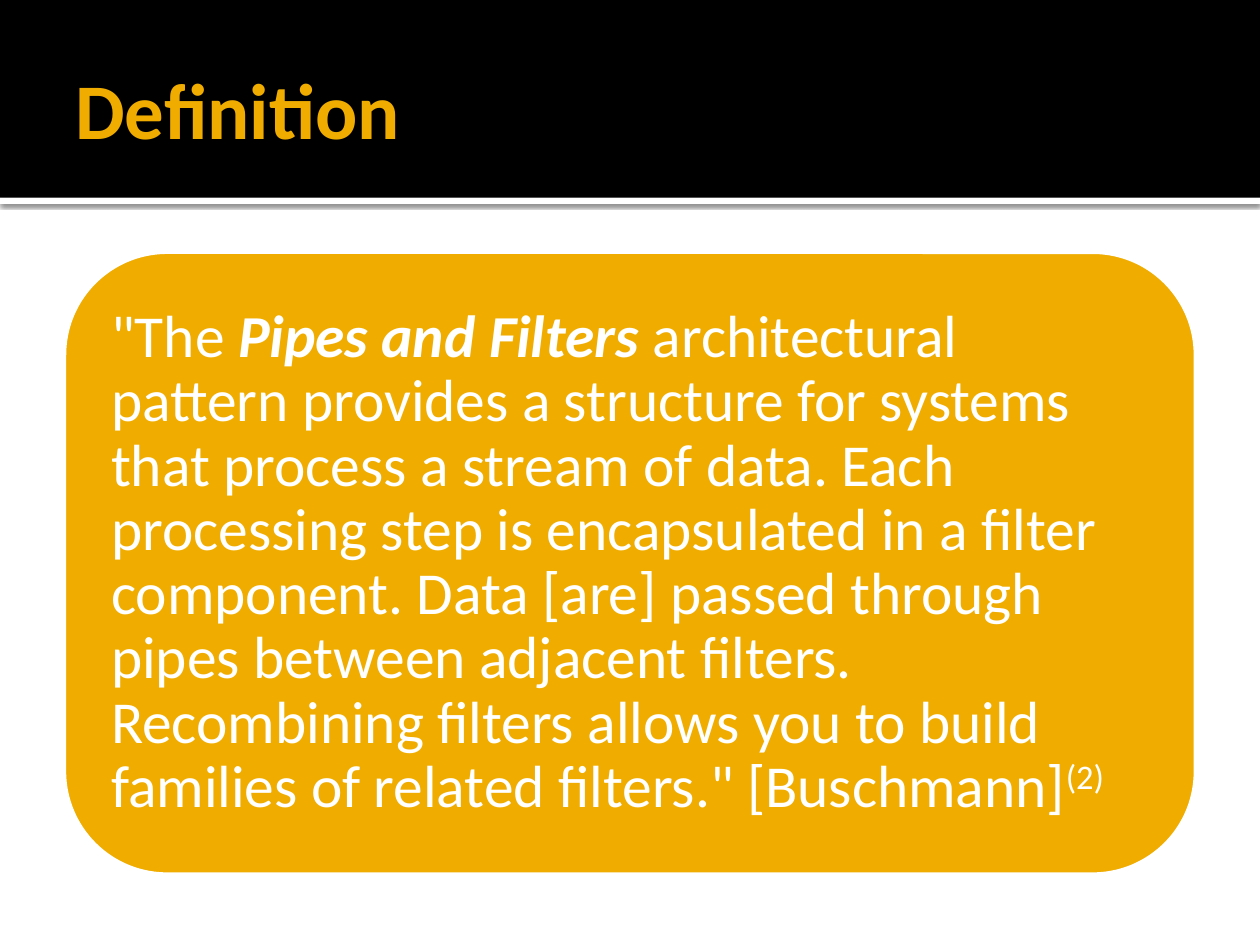
"""Build the Definition slide with a quotation on a rounded panel."""
from lxml import etree
from pptx import Presentation
from pptx.dml.color import RGBColor
from pptx.enum import shapes, text
from pptx.util import Pt

COLORS = {"black": "000000", "white": "FFFFFF", "gold": "F0AD00"}
FONT = "Calibri"
SLIDE_SIZE = (720, 540)
HEADER_HEIGHT = 113
PANEL = (36, 143.28, 648, 357.12)
PANEL_PADDING = 17.28
QUOTE_MARGINS = (10.2, 10.2, 13, 10.2)

TITLE = [("Definition", {"bold": True})]
QUOTE = [
    ('"The\u00a0', {}),
    ("Pipes and Filters", {"bold": True, "italic": True}),
    (
        "\u00a0architectural pattern provides a structure for systems that process a "
        "stream of data. Each processing step is encapsulated in a filter component. "
        "Data [are] passed through pipes between adjacent filters. Recombining filters "
        'allows you to build families of related filters." [Buschmann]',
        {},
    ),
    ("(2)", {"superscript": True}),
]

DRAWING = "http://schemas.openxmlformats.org/drawingml/2006/main"
STRIP_SHADOW = f"""<a:effectLst xmlns:a="{DRAWING}">
<a:outerShdw blurRad="{Pt(2.5)}" dist="{Pt(0.8)}" dir="5400000" algn="tl" rotWithShape="0">
<a:srgbClr val="{COLORS['black']}"><a:alpha val="60000"/></a:srgbClr>
</a:outerShdw></a:effectLst>"""


def color(name):
    return RGBColor.from_string(COLORS[name])


def add_panel(slide, kind, box, fill, line=None):
    shape = slide.shapes.add_shape(kind, *map(Pt, box))
    shape.shadow.inherit = False
    shape.fill.solid()
    shape.fill.fore_color.rgb = color(fill)
    if line:
        shape.line.color.rgb = color(line)
        shape.line.width = Pt(3.78)
    else:
        shape.line.fill.background()
    return shape


def add_text(slide, box, margins, runs, size, color_name):
    frame = slide.shapes.add_textbox(*map(Pt, box)).text_frame
    sides = ("margin_left", "margin_top", "margin_right", "margin_bottom")
    settings = dict(zip(sides, map(Pt, margins)))
    settings |= {"word_wrap": True, "vertical_anchor": text.MSO_ANCHOR.MIDDLE}
    for name, value in settings.items():
        setattr(frame, name, value)
    paragraph = frame.paragraphs[0]
    for words, changes in runs:
        run = paragraph.add_run()
        run.text = words
        run.font.color.rgb = color(color_name)
        styles = {"name": FONT, "size": Pt(size), "bold": False, "italic": False} | changes
        if styles.pop("superscript", False):
            run.font._element.set("baseline", "30000")
        for name, value in styles.items():
            setattr(run.font, name, value)
    return paragraph


def main():
    presentation = Presentation()
    presentation.slide_width, presentation.slide_height = map(Pt, SLIDE_SIZE)
    slide = presentation.slides.add_slide(presentation.slide_layouts[6])
    rectangle = shapes.MSO_SHAPE.RECTANGLE
    width = SLIDE_SIZE[0]

    strip = add_panel(slide, rectangle, (0, HEADER_HEIGHT, width, 3.6), "white")
    properties = strip._element.spPr
    properties.replace(properties.find(f"{{{DRAWING}}}effectLst"), etree.fromstring(STRIP_SHADOW))
    add_panel(slide, rectangle, (0, 0, width, HEADER_HEIGHT), "black")
    add_text(slide, (36, 12.24, 648, 98.64), (7.2, 3.6, 3.6, 3.6), TITLE, 45, "gold")

    add_panel(slide, shapes.MSO_SHAPE.ROUNDED_RECTANGLE, PANEL, "gold", "white")
    left, top, panel_width, panel_height = PANEL
    quote_box = (
        left + PANEL_PADDING,
        top + PANEL_PADDING,
        panel_width - 2 * PANEL_PADDING,
        panel_height - 2 * PANEL_PADDING,
    )
    paragraph = add_text(slide, quote_box, QUOTE_MARGINS, QUOTE, 34, "white")
    paragraph.line_spacing = 0.9
    presentation.save("out.pptx")


if __name__ == "__main__":
    main()
